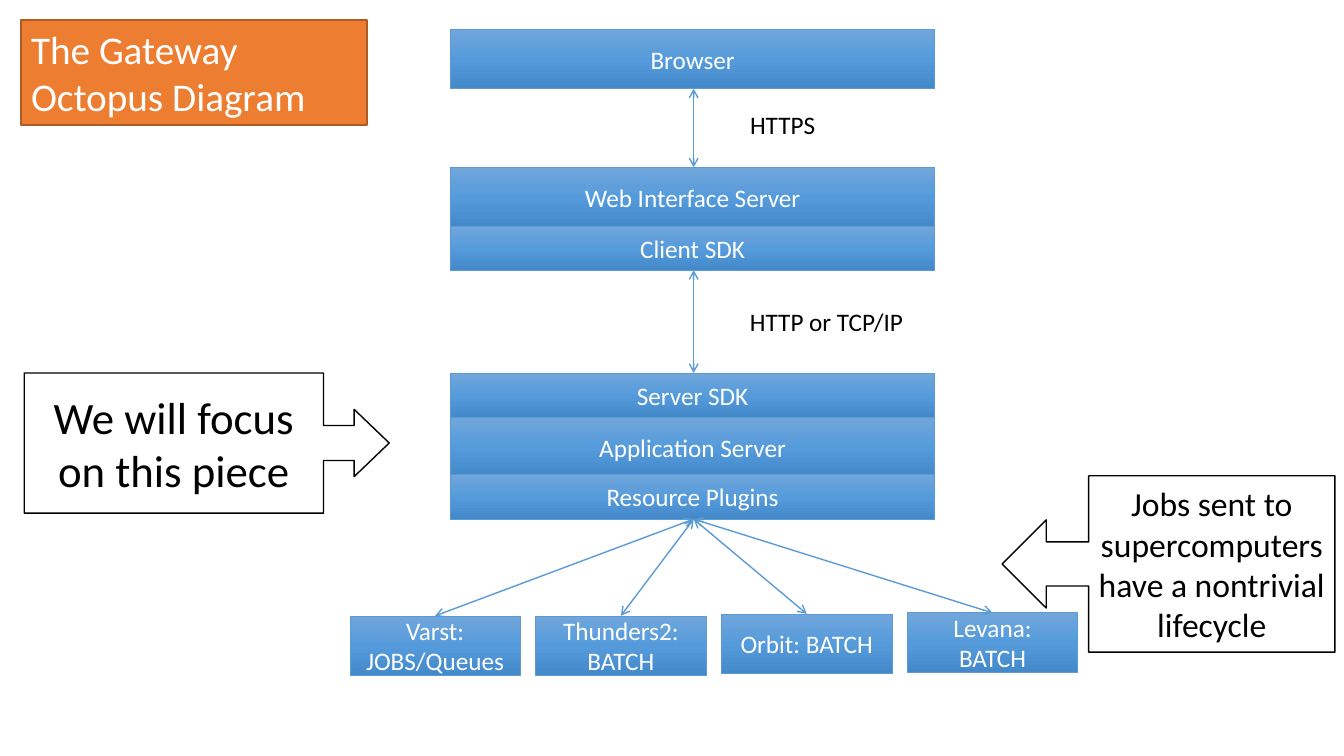
import copy

import pptx
import pptx.dml.color
import pptx.enum.shapes
import pptx.enum.text
import pptx.oxml
import pptx.oxml.ns
import pptx.util

Inches = pptx.util.Inches
Pt = pptx.util.Pt
RGBColor = pptx.dml.color.RGBColor
Shape = pptx.enum.shapes.MSO_SHAPE
Align = pptx.enum.text.PP_ALIGN
Anchor = pptx.enum.text.MSO_ANCHOR
AutoSize = pptx.enum.text.MSO_AUTO_SIZE
qn = pptx.oxml.ns.qn

WHITE = RGBColor(0xFF, 0xFF, 0xFF)
BLACK = RGBColor(0, 0, 0)
BLUE = RGBColor(0x5B, 0x9B, 0xD5)
ORANGE = RGBColor(0xED, 0x7D, 0x31)
BROWN = RGBColor(0xAF, 0x5C, 0x24)
GRADIENT = [
    (0, RGBColor(0x71, 0xA6, 0xDB)),
    (0.5, RGBColor(0x55, 0x9B, 0xDB)),
    (1, RGBColor(0x44, 0x8A, 0xCA)),
]

LAYER_LEFT, LAYER_WIDTH = 4.47, 4.8
CENTER = 6.88
LAYERS = [
    ("Browser", 0.29, 0.59),
    ("Web Interface Server", 1.66, 0.59),
    ("Client SDK", 2.25, 0.43),
    ("Server SDK", 3.7, 0.44),
    ("Application Server", 4.14, 0.59),
    ("Resource Plugins", 4.71, 0.44),
]
PLUGINS_BOTTOM = 5.15
CLUSTER_LEFT, CLUSTER_STEP, CLUSTER_WIDTH = 3.47, 1.843, 1.69
CLUSTERS = [
    ("Varst: JOBS/Queues", 6.11),
    ("Thunders2: BATCH", 6.11),
    ("Orbit: BATCH", 6.09),
    ("Levana: BATCH", 6.08),
]


def write_text(shape, text, size=18, color=WHITE, align=Align.CENTER,
               anchor=Anchor.MIDDLE, wrap=True, auto_size=AutoSize.NONE):
    """Put one formatted paragraph into a shape."""
    frame = shape.text_frame
    frame.word_wrap = wrap
    frame.auto_size = auto_size
    frame.vertical_anchor = anchor
    paragraph = frame.paragraphs[0]
    paragraph.alignment = align
    run = paragraph.add_run()
    run.text = text
    run.font.size = Pt(size)
    run.font.name = "Calibri"
    run.font.color.rgb = color


def fill_gradient(shape):
    """Fill a shape with the vertical blue gradient."""
    shape.fill.gradient()
    shape.fill.gradient_angle = 270
    stops = shape._element.spPr.find(qn("a:gradFill")).find(qn("a:gsLst"))
    stops.insert(1, copy.deepcopy(stops[0]))
    for stop, (position, color) in zip(shape.fill.gradient_stops, GRADIENT):
        stop.position = position
        stop.color.rgb = color


def add_box(slide, kind, left, top, width, height, line, line_width=1,
            fill=None, adjustments=()):
    """Add a preset shape with a solid fill, or the gradient without one."""
    shape = slide.shapes.add_shape(
        kind, Inches(left), Inches(top), Inches(width), Inches(height))
    shape.shadow.inherit = False
    for index, value in enumerate(adjustments):
        shape.adjustments[index] = value
    if fill is None:
        fill_gradient(shape)
    else:
        shape.fill.solid()
        shape.fill.fore_color.rgb = fill
    shape.line.color.rgb = line
    shape.line.width = Pt(line_width)
    return shape


def add_block(slide, text, left, top, width, height):
    """Add one blue component of the architecture."""
    shape = add_box(slide, Shape.RECTANGLE, left, top, width, height, BLUE, 0.5)
    write_text(shape, text)


def add_double_arrow(slide, start, end):
    """Add a blue line with an open arrowhead at each end."""
    connector = slide.shapes.add_connector(
        pptx.enum.shapes.MSO_CONNECTOR.STRAIGHT,
        *(Inches(value) for value in start + end))
    connector.line.color.rgb = BLUE
    connector.line.width = Pt(1)
    line = connector.line._get_or_add_ln()
    for tag in ("a:headEnd", "a:tailEnd"):
        arrowhead = pptx.oxml.parse_xml(
            f"<{tag} {pptx.oxml.ns.nsdecls('a')} type='arrow'/>")
        line.append(arrowhead)
    connector._element.spPr.append(pptx.oxml.parse_xml(
        f"<a:effectLst {pptx.oxml.ns.nsdecls('a')}/>"))


def add_label(slide, text, left, top, width):
    """Add a protocol name beside an arrow."""
    box = slide.shapes.add_textbox(
        Inches(left), Inches(top), Inches(width), Inches(0.4))
    write_text(box, text, color=BLACK, align=Align.LEFT, anchor=Anchor.TOP,
               wrap=False, auto_size=AutoSize.SHAPE_TO_FIT_TEXT)


def add_callout(slide, text, kind, place, adjustments, size):
    """Add a white arrow callout."""
    shape = add_box(slide, kind, *place, BLACK, fill=WHITE,
                    adjustments=adjustments)
    write_text(shape, text, size=size, color=BLACK)


def main():
    """Build the gateway diagram and save it."""
    presentation = pptx.Presentation()
    presentation.slide_width = Inches(13.33)
    presentation.slide_height = Inches(7.5)
    slide = presentation.slides.add_slide(presentation.slide_layouts[6])

    for text, top, height in LAYERS:
        add_block(slide, text, LAYER_LEFT, top, LAYER_WIDTH, height)
    for top, bottom in ((0.88, 1.66), (2.68, 3.7)):
        add_double_arrow(slide, (CENTER, top), (CENTER, bottom))
    for index, (text, top) in enumerate(CLUSTERS):
        left = CLUSTER_LEFT + index * CLUSTER_STEP
        add_block(slide, text, left, top, CLUSTER_WIDTH, 0.59)
        add_double_arrow(slide, (CENTER, PLUGINS_BOTTOM),
                         (left + CLUSTER_WIDTH / 2, top))
    add_label(slide, "HTTPS", 7.34, 1.04, 0.85)
    add_label(slide, "HTTP or TCP/IP", 7.34, 2.99, 1.74)

    title = add_box(slide, Shape.RECTANGLE, 0.21, 0.2, 3.43, 1.04, BROWN,
                    fill=ORANGE)
    write_text(title, "The Gateway Octopus Diagram", size=28, align=Align.LEFT,
               anchor=Anchor.TOP, auto_size=AutoSize.SHAPE_TO_FIT_TEXT)
    add_callout(slide, "We will focus on this piece",
                Shape.RIGHT_ARROW_CALLOUT, (0.24, 3.7, 3.62, 1.39),
                (0.25, 0.24, 0.25, 0.82), 32)
    add_callout(slide, "Jobs sent to supercomputers have a nontrivial lifecycle",
                Shape.LEFT_ARROW_CALLOUT, (9.94, 4.72, 3.3, 1.75),
                (0.25, 0.25, 0.25, 0.74), 24)
    presentation.save("out.pptx")


main()
